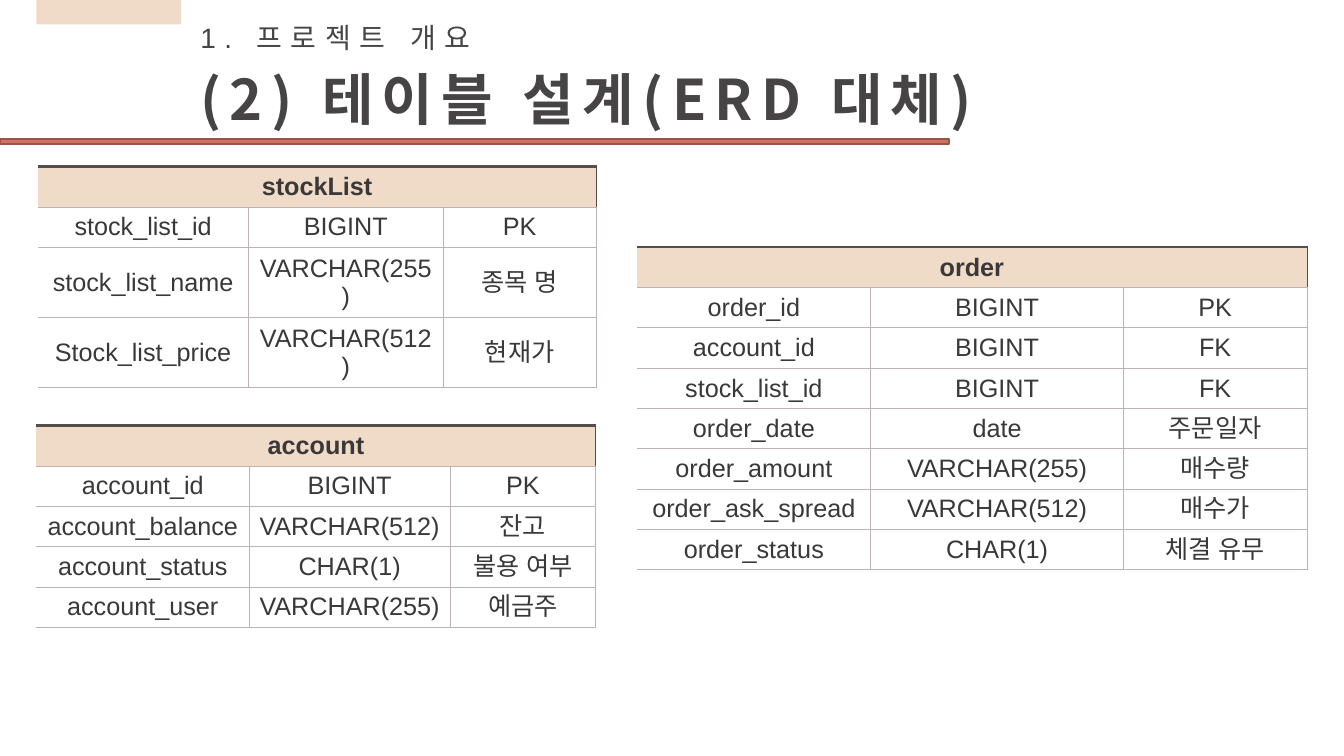
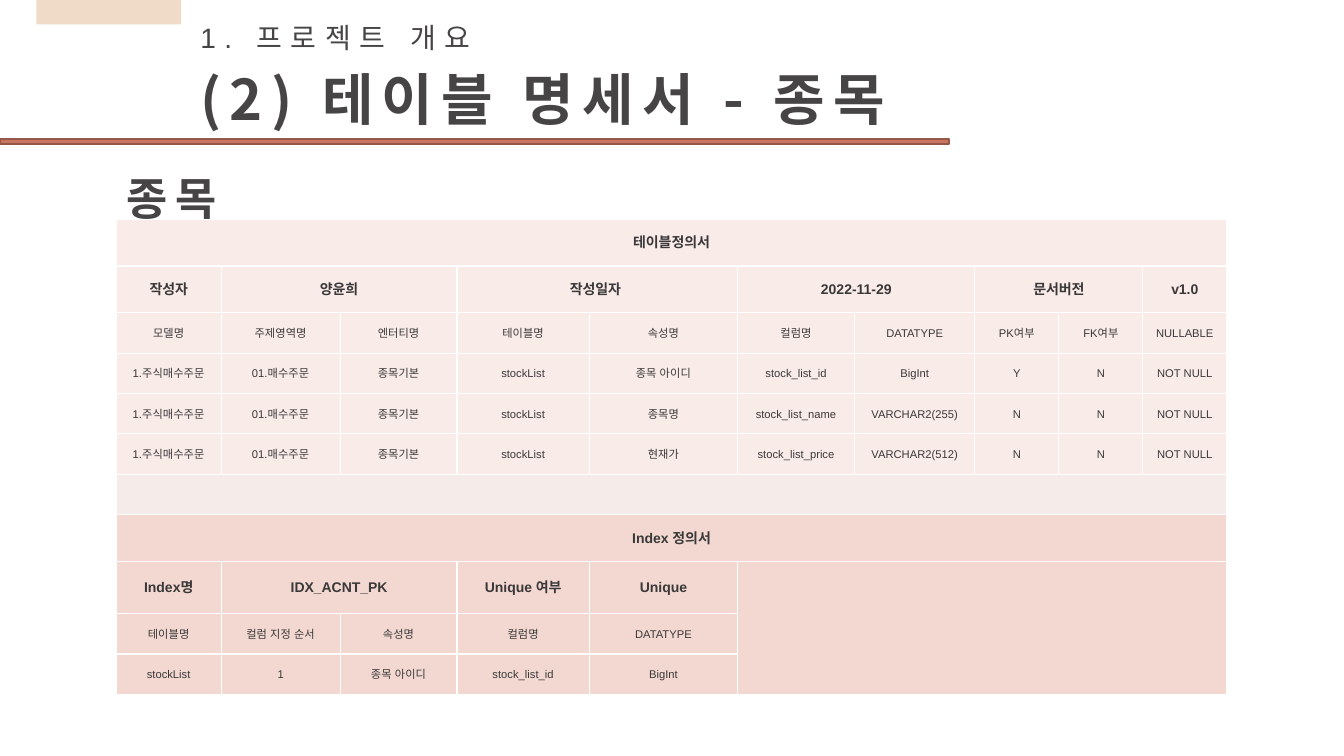
from dataclasses import dataclass

from lxml.etree import SubElement
from pptx import Presentation
from pptx.dml.color import RGBColor
from pptx.enum.shapes import MSO_SHAPE
from pptx.enum.text import MSO_ANCHOR, MSO_AUTO_SIZE, PP_ALIGN
from pptx.oxml.ns import qn
from pptx.util import Pt


@dataclass(frozen=True)
class Theme:
    heading: str = "464444"
    body: str = "3A3838"
    sand: str = "EFDBC7"
    coral: str = "C87661"
    coral_dark: str = "945748"
    rule: str = "BCB3B2"
    rule_dark: str = "564C4B"
    white: str = "FFFFFF"
    blush: str = "F9EBE8"
    mist: str = "F5ECEA"
    rose: str = "F2D8D1"
    sans: str = "Arial"
    korean: str = "Noto Sans CJK KR"
    title: float = 40
    subtitle: float = 32
    eyebrow: float = 20
    erd: float = 18
    label: float = 10
    small: float = 8
    tracking: float = 6


T = Theme()
NO_STYLE = "{2D5ABB26-0587-4C30-8999-92F81FD0307C}"
ROW = 28.8


def add_run(p, text, size, color, font, bold=False, tracking=0):
    r = p.add_run()
    r.text = text
    r.font.size = Pt(size)
    r.font.bold = bold
    r.font.name = font
    r.font.color.rgb = RGBColor.from_string(color)
    rpr = r.font._element
    SubElement(rpr, qn("a:ea")).set("typeface", font)
    if tracking:
        rpr.set("spc", str(int(tracking * 100)))


def add_block(s, box, fill, line=None):
    sp = s.shapes.add_shape(MSO_SHAPE.RECTANGLE, *map(Pt, box))
    sp.shadow.inherit = False
    sp.fill.solid()
    sp.fill.fore_color.rgb = RGBColor.from_string(fill)
    if line:
        sp.line.color.rgb = RGBColor.from_string(line)
        sp.line.width = Pt(1)
    else:
        sp.line.fill.background()


def set_heading(sp, box, text, size, font, bold=True):
    sp.left, sp.top, sp.width, sp.height = map(Pt, box)
    tf = sp.text_frame
    tf.word_wrap = False
    tf.auto_size = MSO_AUTO_SIZE.NONE
    tf.vertical_anchor = MSO_ANCHOR.MIDDLE
    p = tf.paragraphs[0]
    p.alignment = PP_ALIGN.LEFT
    add_run(p, text, size, T.heading, font, bold, T.tracking)


def add_heading(s, box, *style):
    set_heading(s.shapes.add_textbox(*map(Pt, box)), box, *style)


def add_header(prs, title, width):
    s = prs.slides.add_slide(prs.slide_layouts[5])
    add_block(s, (0, 99.4, 678, 3.6), T.coral, T.coral_dark)
    add_block(s, (26, 0, 103.5, 17.5), T.sand)
    add_heading(s, (136, 11, 224, 31.5), "1. 프로젝트 개요", T.eyebrow, T.sans, False)
    set_heading(s.shapes.title, (136, 42, width, 55.5), title, T.title, T.korean)
    return s


def new_table(s, x, y, cols, heights):
    box = map(Pt, (x, y, sum(cols), sum(heights)))
    tbl = s.shapes.add_table(len(heights), len(cols), *box).table
    tbl.first_row = tbl.horz_banding = False
    tbl._tbl.tblPr.find(qn("a:tableStyleId")).text = NO_STYLE
    for col, w in zip(tbl.columns, cols):
        col.width = Pt(w)
    for row, h in zip(tbl.rows, heights):
        row.height = Pt(h)
    return tbl


def style_cell(cell, fill, borders, inset=None):
    tcpr = cell._tc.get_or_add_tcPr()
    for side in "LRTB":
        if side in borders:
            color, width = borders[side]
            ln = SubElement(tcpr, qn(f"a:ln{side}"), w=str(Pt(width)))
            solid = SubElement(ln, qn("a:solidFill"))
            SubElement(solid, qn("a:srgbClr"), val=color)
    cell.fill.solid()
    cell.fill.fore_color.rgb = RGBColor.from_string(fill)
    cell.vertical_anchor = MSO_ANCHOR.MIDDLE
    if inset is not None:
        cell.margin_left = cell.margin_right = cell.margin_top = Pt(inset)
        cell.margin_bottom = 0


def write_cell(cell, text, size, bold):
    p = cell.text_frame.paragraphs[0]
    p.alignment = PP_ALIGN.CENTER
    if text:
        add_run(p, text, size, T.body, T.sans, bold)


def add_entity(s, x, y, cols, name, fields, heights=None):
    tbl = new_table(s, x, y, cols, [ROW] + (heights or [ROW] * len(fields)))
    thin = (T.rule, 0.5)
    head = {"T": (T.rule_dark, 2.25), "R": (T.rule_dark, 0.5), "B": thin}
    for c in range(len(cols)):
        style_cell(tbl.cell(0, c), T.sand, head)
    tbl.cell(0, 0).merge(tbl.cell(0, len(cols) - 1))
    write_cell(tbl.cell(0, 0), name, T.erd, True)
    for i, field in enumerate(fields, 1):
        for c, text in enumerate(field):
            style_cell(tbl.cell(i, c), T.white, dict.fromkeys("RTB", thin))
            write_cell(tbl.cell(i, c), text, T.erd, False)


def add_spec(s, x, y, cols, rows, blank):
    tbl = new_table(s, x, y, cols, [row[0] for row in rows])
    edges = dict.fromkeys("LRTB", (T.white, 1))
    for i, (_, fill, size, cells) in enumerate(rows):
        for c in range(len(cols)):
            style_cell(tbl.cell(i, c), fill, edges, 0.72)
        c = 0
        for item in cells:
            text, span = item if isinstance(item, tuple) else (item, 1)
            if span > 1:
                tbl.cell(i, c).merge(tbl.cell(i, c + span - 1))
            write_cell(tbl.cell(i, c), text, size, size == T.label)
            c += span
    top, left = blank
    tbl.cell(top, left).merge(tbl.cell(len(rows) - 1, len(cols) - 1))


def erd_slide(prs):
    s = add_header(prs, "(2) 테이블 설계(ERD 대체)", 609)
    add_entity(s, 27, 119, (150.5, 139, 109.5), "stockList", [
        ("stock_list_id", "BIGINT", "PK"),
        ("stock_list_name", "VARCHAR(255)", "종목 명"),
        ("Stock_list_price", "VARCHAR(512)", "현재가"),
    ], [ROW, 50.2, 50.2])
    add_entity(s, 26, 304, (152, 143.5, 104), "account", [
        ("account_id", "BIGINT", "PK"),
        ("account_balance", "VARCHAR(512)", "잔고"),
        ("account_status", "CHAR(1)", "불용 여부"),
        ("account_user", "VARCHAR(255)", "예금주"),
    ])
    add_entity(s, 455, 176.5, (167, 180.5, 131), "order", [
        ("order_id", "BIGINT", "PK"),
        ("account_id", "BIGINT", "FK"),
        ("stock_list_id", "BIGINT", "FK"),
        ("order_date", "date", "주문일자"),
        ("order_amount", "VARCHAR(255)", "매수량"),
        ("order_ask_spread", "VARCHAR(512)", "매수가"),
        ("order_status", "CHAR(1)", "체결 유무"),
    ])


def spec_slide(prs):
    s = add_header(prs, "(2) 테이블 명세서 - 종목", 561)
    columns = [
        ("종목 아이디", "stock_list_id", "BigInt", "Y"),
        ("종목명", "stock_list_name", "VARCHAR2(255)", "N"),
        ("현재가", "stock_list_price", "VARCHAR2(512)", "N"),
    ]
    origin = ("1.주식매수주문", "01.매수주문", "종목기본", "stockList")
    rows = [
        (33.5, T.blush, T.label, [("테이블정의서", 10)]),
        (33.5, T.blush, T.label, ["작성자", ("양윤희", 2), ("작성일자 ", 2),
                                  ("2022-11-29", 2), ("문서버전", 2), "v1.0"]),
        (ROW, T.blush, T.small, ["모델명", "주제영역명", "엔터티명", "테이블명", "속성명",
                                 "컬럼명", "DATATYPE", "PK여부", "FK여부", "NULLABLE"]),
        *[(ROW, T.blush, T.small, [*origin, *column, "N", "NOT NULL"])
          for column in columns],
        (ROW, T.mist, T.small, [("", 10)]),
        (33.5, T.rose, T.label, [("Index 정의서", 10)]),
        (37.5, T.rose, T.label, ["Index명", ("IDX_ACNT_PK", 2), "Unique 여부", "Unique"]),
        (ROW, T.rose, T.small, ["테이블명", "컬럼 지정 순서", "속성명", "컬럼명", "DATATYPE"]),
        (ROW, T.rose, T.small, ["stockList", "1", "종목 아이디", "stock_list_id", "BigInt"]),
    ]
    cols = (75, 85, 83.5, 94.5, 106, 83.5, 86, 60, 60, 60)
    add_spec(s, 83, 156.5, cols, rows, (8, 5))
    add_heading(s, (83, 118, 91.5, 46), "종목", T.subtitle, T.korean)


def main():
    prs = Presentation()
    prs.slide_width, prs.slide_height = Pt(960), Pt(540)
    erd_slide(prs)
    spec_slide(prs)
    prs.save("out.pptx")


if __name__ == "__main__":
    main()
